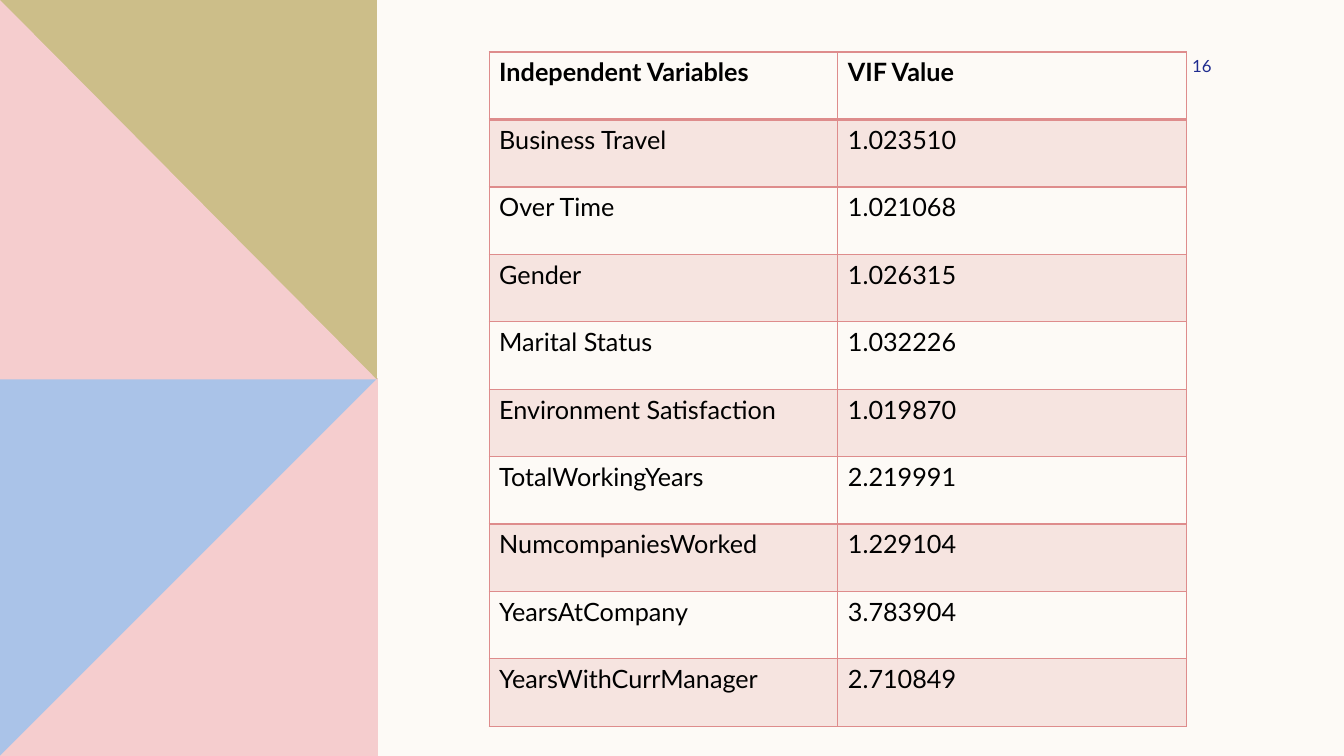
from dataclasses import dataclass

from lxml import etree
from pptx import Presentation
from pptx import util as u
from pptx.dml.color import RGBColor
from pptx.enum import text
from pptx.oxml import ns

ROSE = "DE8C8C"
PINK = "F5CDCE"


@dataclass
class Facet:
    points: list[tuple[float, float]]
    fill: str


@dataclass
class Factor:
    name: str
    value: str


FACETS = [
    Facet([(0, 270), (270, 270), (270, 540), (0, 540)], "AAC3E8"),
    Facet([(270, 270), (270, 540), (0, 540)], PINK),
    Facet([(0, 0), (269.3, 0), (269.3, 270.7), (0, 270.7)], "CCBE89"),
    Facet([(0, 0), (269.3, 270.7), (0, 270.7)], PINK),
]

FACTORS = [
    Factor("Independent Variables", "VIF Value"),
    Factor("Business Travel", "1.023510"),
    Factor("Over Time", "1.021068"),
    Factor("Gender", "1.026315"),
    Factor("Marital Status", "1.032226"),
    Factor("Environment Satisfaction", "1.019870"),
    Factor("TotalWorkingYears", "2.219991"),
    Factor("NumcompaniesWorked", "1.229104"),
    Factor("YearsAtCompany", "3.783904"),
    Factor("YearsWithCurrManager", "2.710849"),
]


def color(code: str) -> RGBColor:
    return RGBColor.from_string(code)


def apply(item, values: dict) -> None:
    for key, value in values.items():
        setattr(item, key, value)


def write(frame, words: str, size: float, code: str, bold: bool = False) -> None:
    run = frame.paragraphs[0].add_run()
    run.text = words
    apply(run.font, {"name": "Lato", "size": u.Pt(size), "bold": bold})
    run.font.color.rgb = color(code)


def draw_facet(slide, facet: Facet) -> None:
    first, *rest = facet.points
    pen = slide.shapes.build_freeform(*first, scale=u.Pt(1))
    pen.add_line_segments(rest, close=True)
    shape = pen.convert_to_shape()
    shape.shadow.inherit = False
    shape.fill.solid()
    shape.fill.fore_color.rgb = color(facet.fill)
    shape.line.fill.background()


def tint(cell, code: str, alpha: int) -> None:
    cell.fill.solid()
    cell.fill.fore_color.rgb = color(code)
    shade = cell._tc.tcPr.find(".//" + ns.qn("a:srgbClr"))
    etree.SubElement(shade, ns.qn("a:alpha"), val=str(alpha * 1000))


def frame_cell(cell, widths: dict[str, float]) -> None:
    props = cell._tc.get_or_add_tcPr()
    for spot, (side, width) in enumerate(widths.items()):
        line = etree.Element(ns.qn("a:ln" + side), w=str(u.Pt(width)))
        fill = etree.SubElement(line, ns.qn("a:solidFill"))
        etree.SubElement(fill, ns.qn("a:srgbClr"), val=ROSE)
        props.insert(spot, line)


def draw_table(slide, factors: list[Factor]) -> None:
    tall, wide = 48.17, 249.1
    table = slide.shapes.add_table(
        len(factors), 2, u.Pt(349.4), u.Pt(37.2),
        u.Pt(2 * wide), u.Pt(len(factors) * tall)).table
    for column in table.columns:
        column.width = u.Pt(wide)
    for index, factor in enumerate(factors):
        table.rows[index].height = u.Pt(tall)
        for cell, words in zip(table.rows[index].cells, (factor.name, factor.value)):
            write(cell.text_frame, words, 18, "000000", index == 0)
            if index % 2:
                tint(cell, ROSE, 20)
            else:
                cell.fill.background()
            frame_cell(cell, {"L": 1, "R": 1, "T": 2 if index == 1 else 1,
                              "B": 2 if index == 0 else 1})


def draw_number(slide, words: str) -> None:
    box = slide.shapes.add_textbox(u.Pt(787.7), u.Pt(37.4), u.Pt(77.8), u.Pt(19.4))
    frame = box.text_frame
    apply(frame, {"word_wrap": True, "margin_right": 0,
                  "vertical_anchor": text.MSO_ANCHOR.MIDDLE})
    frame.paragraphs[0].alignment = text.PP_ALIGN.RIGHT
    write(frame, words, 12, "1F2C8F")


def main() -> None:
    deck = Presentation()
    apply(deck, {"slide_width": u.Pt(960), "slide_height": u.Pt(540)})
    slide = deck.slides.add_slide(deck.slide_layouts[6])
    slide.background.fill.solid()
    slide.background.fill.fore_color.rgb = color("FDFAF6")
    for facet in FACETS:
        draw_facet(slide, facet)
    draw_number(slide, "16")
    draw_table(slide, FACTORS)
    deck.save("out.pptx")


if __name__ == "__main__":
    main()
